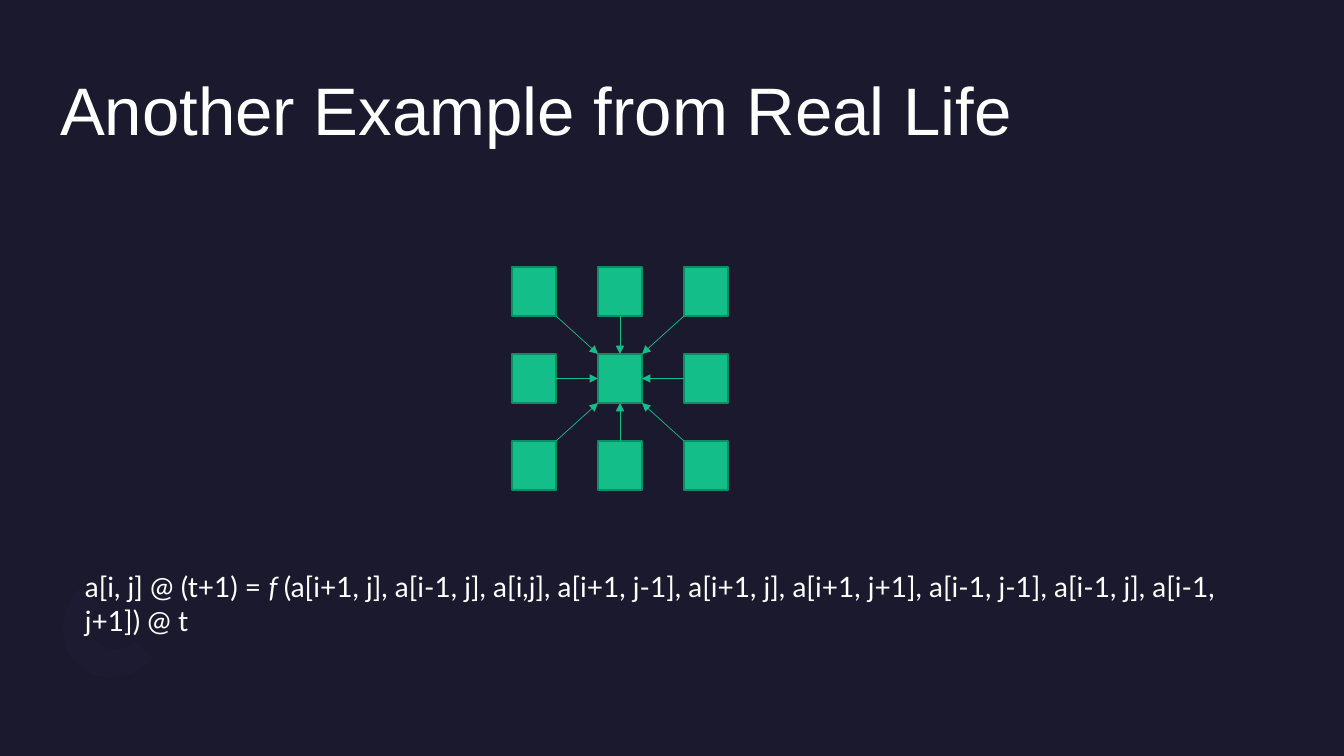
from dataclasses import dataclass
from itertools import product

from pptx import Presentation
from pptx import util as u
from pptx.dml.color import RGBColor
from pptx.enum import shapes, text
from pptx.oxml.ns import qn

EMU_PER_PX = 12192000 / 1344


def px(length):
    return u.Emu(round(length * EMU_PER_PX))


@dataclass(frozen=True)
class Theme:
    background: str = "1B192E"
    text: str = "FFFFFF"
    cell: str = "13BE89"
    cell_edge: str = "0E8D65"
    petal: str = "2C284A"
    swirl: str = "1D1B31"
    title_font: str = "Arial"
    body_font: str = "Lato"
    title_size: int = 48
    body_size: int = 20


def bezier(start, control_a, control_b, end, steps=12):
    points = []
    for step in range(1, steps + 1):
        t = step / steps
        weights = ((1 - t) ** 3, 3 * t * (1 - t) ** 2, 3 * t * t * (1 - t), t ** 3)
        corners = (start, control_a, control_b, end)
        points.append(tuple(sum(w * c[axis] for w, c in zip(weights, corners)) for axis in (0, 1)))
    return points


class SlideBuilder:
    def __init__(self, deck, theme):
        self.theme = theme
        self.page = deck.slides.add_slide(deck.slide_layouts[5])
        fill = self.page.background.fill
        fill.solid()
        fill.fore_color.rgb = RGBColor.from_string(theme.background)

    def paint(self, shape, color, edge=None):
        shape.shadow.inherit = False
        shape.fill.solid()
        shape.fill.fore_color.rgb = RGBColor.from_string(color)
        if edge:
            shape.line.color.rgb = RGBColor.from_string(edge)
            shape.line.width = u.Pt(1)
        else:
            shape.line.fill.background()

    def style(self, span, font, size):
        span.font.name = font
        span.font.size = u.Pt(size)
        span.font.color.rgb = RGBColor.from_string(self.theme.text)

    def title(self, words, left, top, width, height):
        box = self.page.shapes.title
        box.left, box.top, box.width, box.height = map(px, (left, top, width, height))
        frame = box.text_frame
        frame.text = words
        frame.auto_size = text.MSO_AUTO_SIZE.NONE
        frame.vertical_anchor = text.MSO_ANCHOR.TOP
        frame.margin_left = frame.margin_right = frame.margin_top = frame.margin_bottom = 0
        para = frame.paragraphs[0]
        para.alignment = text.PP_ALIGN.LEFT
        para.line_spacing = 1.1
        self.style(para.runs[0], self.theme.title_font, self.theme.title_size)

    def formula(self, pieces, left, top, width, height):
        frame = self.page.shapes.add_textbox(*map(px, (left, top, width, height))).text_frame
        frame.word_wrap = True
        para = frame.paragraphs[0]
        for words, italic in pieces:
            span = para.add_run()
            span.text = words
            span.font.italic = italic
            self.style(span, self.theme.body_font, self.theme.body_size)

    def cell(self, left, top, width, height):
        box = self.page.shapes.add_shape(
            shapes.MSO_SHAPE.RECTANGLE, *map(px, (left, top, width, height)))
        self.paint(box, self.theme.cell, self.theme.cell_edge)

    def petal(self, left, top, width, height):
        oval = self.page.shapes.add_shape(
            shapes.MSO_SHAPE.OVAL, *map(px, (left, top, width, height)))
        oval.rotation = 135
        self.paint(oval, self.theme.petal)

    def swirl(self, points):
        builder = self.page.shapes.build_freeform(*points[0], scale=EMU_PER_PX)
        builder.add_line_segments(points[1:], close=True)
        self.paint(builder.convert_to_shape(), self.theme.swirl)

    def arrow(self, start, end):
        line = self.page.shapes.add_connector(
            shapes.MSO_CONNECTOR.STRAIGHT, *map(px, (*start, *end)))
        line.line.color.rgb = RGBColor.from_string(self.theme.cell)
        line.line.width = u.Pt(0.5)
        properties = line._element.spPr
        head = properties.find(qn("a:ln")).makeelement(qn("a:tailEnd"), {"type": "triangle"})
        properties.find(qn("a:ln")).append(head)
        properties.append(properties.makeelement(qn("a:effectLst"), {}))

    def neighbourhood(self, left, top, width, height, step_x, step_y):
        offsets = list(product((-1, 0, 1), repeat=2))
        center_x, center_y = left + step_x + width / 2, top + step_y + height / 2
        for row, column in offsets:
            self.cell(left + (column + 1) * step_x, top + (row + 1) * step_y, width, height)
        for row, column in offsets:
            if row or column:
                end = (center_x + column * width / 2, center_y + row * height / 2)
                start = (center_x + column * (step_x - width / 2),
                         center_y + row * (step_y - height / 2))
                self.arrow(start, end)


def main():
    deck = Presentation()
    deck.slide_width, deck.slide_height = px(1344), px(756)
    slide = SlideBuilder(deck, Theme())

    for left, top in ((136, 642), (82, 588)):
        slide.petal(left, top, 6, 26)
    outer_start, outer_middle, outer_end = (153, 659), (77, 664), (82, 587)
    inner_start, inner_middle, inner_end = (100, 605), (97, 643), (136, 641)
    slide.swirl([
        outer_middle,
        *bezier(outer_middle, (56, 644), (58, 610), outer_end),
        inner_start,
        *bezier(inner_start, (88, 616), (87, 634), inner_middle),
        *bezier(inner_middle, (107, 653), (124, 652), inner_end),
        outer_start,
        *bezier(outer_start, (131, 681), (96, 684), outer_middle),
    ])

    slide.title("Another Example from Real Life", 60, 60, 1223, 147)
    slide.neighbourhood(512, 267, 44, 49, 86, 87)
    slide.formula([
        ("a[i, j] @ (t+1) = ", False),
        ("f ", True),
        ("(a[i+1, j], a[i-1, j], a[i,j], a[i+1, j-1], a[i+1, j], a[i+1, j+1], "
         "a[i-1, j-1], a[i-1, j], a[i-1, j+1]) @ t", False),
    ], 75, 565, 1194, 44)
    deck.save("out.pptx")


if __name__ == "__main__":
    main()
